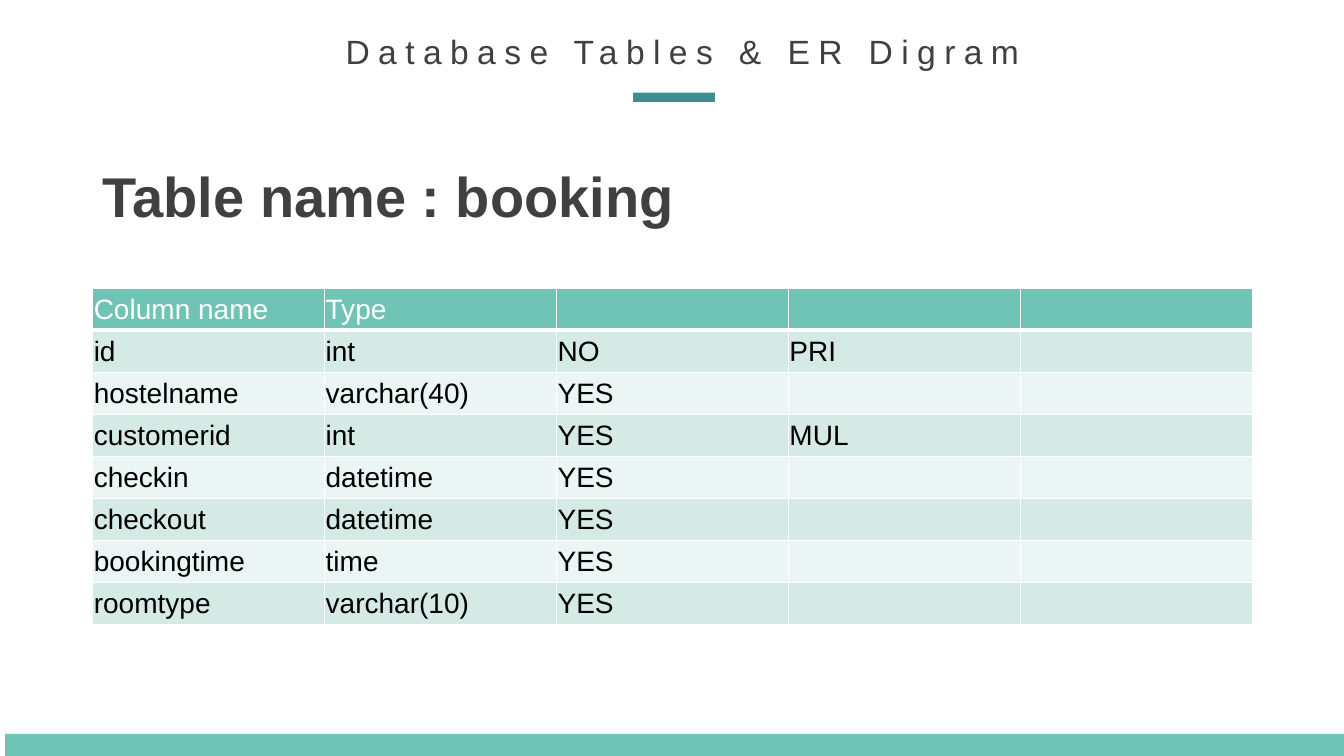
from lxml import etree
from pptx import Presentation
from pptx.dml.color import RGBColor
from pptx.enum.shapes import MSO_SHAPE
from pptx.enum.text import MSO_ANCHOR, MSO_AUTO_SIZE, PP_ALIGN
from pptx.oxml.ns import qn
from pptx.util import Inches, Pt

RECTANGLE = MSO_SHAPE.RECTANGLE
MIDDLE, TOP = MSO_ANCHOR.MIDDLE, MSO_ANCHOR.TOP
LEFT, CENTER, JUSTIFY = PP_ALIGN.LEFT, PP_ALIGN.CENTER, PP_ALIGN.JUSTIFY
FIT_SHAPE = MSO_AUTO_SIZE.SHAPE_TO_FIT_TEXT

WHITE = RGBColor(0xFF, 0xFF, 0xFF)
BLACK = RGBColor(0x00, 0x00, 0x00)
CHARCOAL = RGBColor(0x40, 0x40, 0x40)
MINT = RGBColor(0x6F, 0xC4, 0xB6)
TEAL = RGBColor(0x3C, 0x8E, 0x90)
BAND_DARK = RGBColor(0xD5, 0xEA, 0xE5)
BAND_LIGHT = RGBColor(0xEB, 0xF5, 0xF3)

COLUMN_COUNT = 5
BOOKING_ROWS = [
    ("Column name", "Type"),
    ("id", "int", "NO", "PRI"),
    ("hostelname", "varchar(40)", "YES"),
    ("customerid", "int", "YES", "MUL"),
    ("checkin", "datetime", "YES"),
    ("checkout", "datetime", "YES"),
    ("bookingtime", "time", "YES"),
    ("roomtype", "varchar(10)", "YES"),
]


def write_text(frame, text, size=20, color=BLACK, bold=False, align=LEFT, spacing=0):
    paragraph = frame.paragraphs[0]
    paragraph.alignment = align
    run = paragraph.add_run()
    run.text = text
    run.font.name = "Arial"
    run.font.size = Pt(size)
    run.font.bold = bold
    run.font.color.rgb = color
    if spacing:
        run.font._element.set("spc", str(spacing * 100))


def add_bar(slide, left, top, width, height, color):
    bar = slide.shapes.add_shape(
        RECTANGLE, Inches(left), Inches(top), Inches(width), Inches(height))
    bar.shadow.inherit = False
    bar.fill.solid()
    bar.fill.fore_color.rgb = color
    bar.line.fill.background()


def add_header(slide, left, top, width, height):
    title = slide.shapes.title
    title.left, title.top = Inches(left), Inches(top)
    title.width, title.height = Inches(width), Inches(height)
    frame = title.text_frame
    frame.word_wrap = False
    frame.auto_size = FIT_SHAPE
    frame.vertical_anchor = TOP
    write_text(frame, "Database Tables & ER Digram", size=24, color=CHARCOAL,
               align=CENTER, spacing=6)
    add_bar(slide, left + 2.99, top + 0.66, 0.81, 0.09, TEAL)


def add_table_name(slide, left, top, width, height):
    box = slide.shapes.add_textbox(
        Inches(left), Inches(top), Inches(width), Inches(height))
    frame = box.text_frame
    frame.word_wrap = True
    frame.auto_size = FIT_SHAPE
    write_text(frame, "Table name : booking", size=40, color=CHARCOAL,
               bold=True, align=JUSTIFY)


def set_borders(cell, **widths):
    properties = cell._tc.get_or_add_tcPr()
    for side in "LRTB":
        line = etree.SubElement(properties, qn(f"a:ln{side}"),
                                w=str(Pt(widths.get(side, 1))))
        fill = etree.SubElement(line, qn("a:solidFill"))
        etree.SubElement(fill, qn("a:srgbClr"), val=str(WHITE))


def format_cell(cell, text, row_index):
    is_header = row_index == 0
    if is_header:
        set_borders(cell, B=3)
        fill_color = MINT
    else:
        set_borders(cell, T=3 if row_index == 1 else 1)
        fill_color = BAND_DARK if row_index % 2 else BAND_LIGHT
    cell.fill.solid()
    cell.fill.fore_color.rgb = fill_color
    cell.vertical_anchor = MIDDLE
    cell.margin_left = cell.margin_right = Inches(0.01)
    cell.margin_top = cell.margin_bottom = Inches(0.01)
    if text:
        write_text(cell.text_frame, text, color=WHITE if is_header else BLACK)
    else:
        cell.text_frame.paragraphs[0].font.size = Pt(20)


def add_booking_table(slide, left, top, width, height):
    table = slide.shapes.add_table(
        len(BOOKING_ROWS), COLUMN_COUNT,
        Inches(left), Inches(top), Inches(width), Inches(height)).table
    for row_index, values in enumerate(BOOKING_ROWS):
        for column_index in range(COLUMN_COUNT):
            text = values[column_index] if column_index < len(values) else ""
            format_cell(table.cell(row_index, column_index), text, row_index)


def main():
    presentation = Presentation()
    presentation.slide_width = Inches(13.33)
    presentation.slide_height = Inches(7.5)
    slide = presentation.slides.add_slide(presentation.slide_layouts[5])
    add_bar(slide, 0.05, 7.28, 13.28, 0.22, MINT)
    add_header(slide, 3.29, 0.26, 6.96, 0.5)
    add_booking_table(slide, 0.92, 2.86, 11.5, 3.34)
    add_table_name(slide, 0.92, 1.55, 9.33, 0.77)
    presentation.save("out.pptx")


if __name__ == "__main__":
    main()
